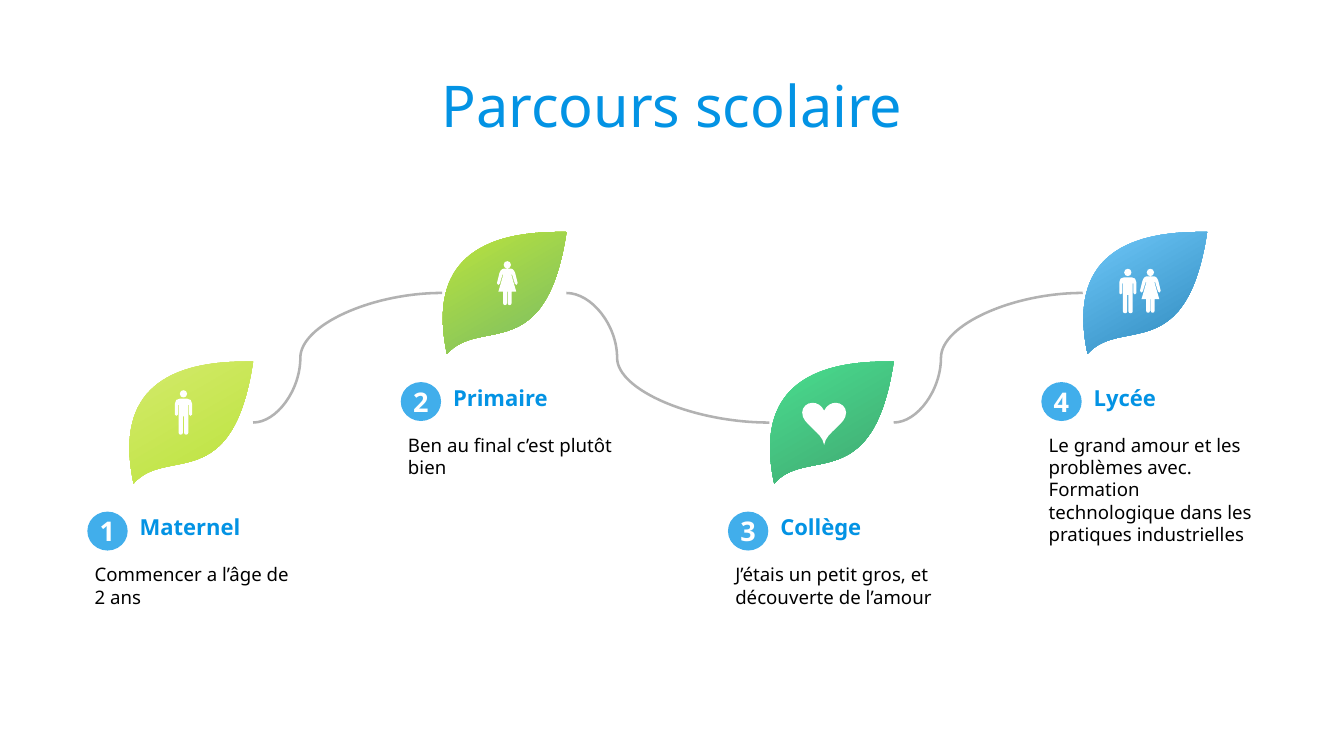
import pptx
import pptx.dml.color
import pptx.enum.shapes
import pptx.enum.text
import pptx.oxml
import pptx.oxml.ns
import pptx.util

Pt = pptx.util.Pt
RGBColor = pptx.dml.color.RGBColor
MSO_SHAPE = pptx.enum.shapes.MSO_SHAPE
PP_ALIGN = pptx.enum.text.PP_ALIGN
MSO_ANCHOR = pptx.enum.text.MSO_ANCHOR
MSO_AUTO_SIZE = pptx.enum.text.MSO_AUTO_SIZE
qn = pptx.oxml.ns.qn
DRAWING = pptx.oxml.ns.nsdecls("a")

FONT = "Noto Sans"
BLUE = RGBColor(0x03, 0x93, 0xE4)
BADGE_BLUE = RGBColor(0x41, 0xAE, 0xEB)
GREY = RGBColor(0xB2, 0xB2, 0xB2)
BLACK = RGBColor(0, 0, 0)
WHITE = RGBColor(0xFF, 0xFF, 0xFF)
LIME_LIGHT = RGBColor(0xD4, 0xEA, 0x6B)
LIME = RGBColor(0xBB, 0xE3, 0x3D)
GREEN = RGBColor(0x77, 0xBC, 0x65)
MINT = RGBColor(0x49, 0xDE, 0x8F)
MINT_DARK = RGBColor(0x41, 0xA6, 0x71)
SKY = RGBColor(0x6F, 0xC8, 0xFA)
SKY_DARK = RGBColor(0x2D, 0x88, 0xBB)

SLIDE_WIDTH, SLIDE_HEIGHT = 793.44, 446.4
STEP_WIDTH = 136.8
LOW, HIGH = 213.5, 137
LEAF_LEFT, LEAF_WIDTH, LEAF_MIDDLE = 27.2, 73.4, 36
GRID = 0.72  # points per unit of the outlines below
PRECISION = 100  # steps per unit in the geometry

# A figure is its width, its height and its outlines. An outline is a start
# point followed by lines (x, y) and cubic curves (control 1, control 2, end).
LEAF = 102, 100, [[(4, 100), (31, 69, 85, 111, 102, 0), (96, 0), (24, 0, -11, 30, 4, 100)]]
HEART = 36, 35, [[
    (18, 7), (16, 2.5, 12, 0.5, 8.5, 0.5), (4, 0.5, 0, 4, 0, 8.5),
    (0, 14, 4, 17, 8, 21), (13, 26, 17, 29, 18, 35),
    (19, 29, 23, 26, 28, 21), (32, 17, 36, 14, 36, 8.5),
    (36, 4, 32, 0.5, 27.5, 0.5), (24, 0.5, 20, 2.5, 18, 7),
]]
MAN_BODY = [
    (4, 7), (1.5, 7, 0, 8.5, 0, 11), (0, 20), (0, 21.4, 2.4, 21.4, 2.4, 20),
    (2.4, 12), (3, 12), (3, 35), (3, 37, 6.5, 37, 6.5, 35), (6.5, 21.5),
    (7.5, 21.5), (7.5, 35), (7.5, 37, 11, 37, 11, 35), (11, 12), (11.6, 12),
    (11.6, 20), (11.6, 21.4, 14, 21.4, 14, 20), (14, 11), (14, 8.5, 12.5, 7, 10, 7),
]
WOMAN_BODY = [
    (6, 6.2), (6, 6, 3, 6, 2, 10), (0, 18), (0, 20, 2, 20, 2.3, 18.5),
    (4.6, 11), (5.2, 11), (1.2, 25), (5, 25), (5, 34.5),
    (5, 36.6, 8.2, 36.6, 8.2, 34.5), (8.2, 25), (8.8, 25), (8.8, 34.5),
    (8.8, 36.6, 12, 36.6, 12, 34.5), (12, 25), (15.8, 25), (11.8, 11),
    (12.4, 11), (14.7, 18.5), (15, 20, 17, 20, 17, 18), (15, 10), (14, 6, 11, 6, 11, 6.2),
]


def head(center):
    left, right = center - 3, center + 3
    return [(left, 3), (left, -1, right, -1, right, 3), (right, 7, left, 7, left, 3)]


def shifted(outlines, distance):
    return [[tuple(value + distance * (index % 2 == 0) for index, value in enumerate(segment))
             for segment in outline] for outline in outlines]


MAN = 14, 36.5, [head(7), MAN_BODY]
WOMAN = 17, 36.5, [head(8.5), WOMAN_BODY]
COUPLE = 34, 36.5, MAN[2] + shifted(WOMAN[2], 17)

# number, title, text, text height, left, top, leaf colours, icon, icon offset
STEPS = [
    ("1", "Maternel", "Commencer a l’âge de 2 ans", 34,
     48.8, LOW, (LIME_LIGHT, LIME), MAN, (54.5, 16.9)),
    ("2", "Primaire", "Ben au final c’est plutôt bien", 34,
     233.8, HIGH, (LIME, GREEN), WOMAN, (59.6, 17.2)),
    ("3", "Collège", "J’étais un petit gros, et découverte de l’amour", 34,
     427, LOW, (MINT, MINT_DARK), HEART, (46.6, 24)),
    ("4", "Lycée", "Le grand amour et les problèmes avec. Formation technologique "
     "dans les pratiques industrielles", 73.4,
     612, HIGH, (SKY, SKY_DARK), COUPLE, (48.8, 21.7)),
]


def curve_segment(segment):
    """Return the geometry element of a line or a cubic curve."""
    tag = "lnTo" if len(segment) == 2 else "cubicBezTo"
    values = [round(value * PRECISION) for value in segment]
    points = "".join(f'<a:pt x="{x}" y="{y}"/>' for x, y in zip(values[::2], values[1::2]))
    return pptx.oxml.parse_xml(f"<a:{tag} {DRAWING}>{points}</a:{tag}>")


def add_figure(slide, figure, left, top):
    """Build a freeform through the corners, then bend its curved sides."""
    width, height, outlines = figure
    builder = None
    for outline in outlines:
        corners = [tuple(value * PRECISION for value in segment[-2:]) for segment in outline]
        if builder is None:
            builder = slide.shapes.build_freeform(*corners[0], scale=Pt(GRID) / PRECISION)
        else:
            builder.move_to(*corners[0])
        builder.add_line_segments(corners[1:], close=True)
    shape = builder.convert_to_shape()
    geometry = shape._element.spPr.find(".//" + qn("a:pathLst"))[0]
    geometry.set("w", str(round(width * PRECISION)))
    geometry.set("h", str(round(height * PRECISION)))
    starts = geometry.findall(qn("a:moveTo"))
    for start, outline in zip(starts, outlines):
        for axis, value in zip("xy", outline[0]):
            start[0].set(axis, str(round(value * PRECISION)))
    sides = geometry.findall(qn("a:lnTo"))
    segments = [segment for outline in outlines for segment in outline[1:]]
    for side, segment in zip(sides, segments):
        geometry.replace(side, curve_segment(segment))
    shape.left, shape.top = Pt(left), Pt(top)
    shape.width, shape.height = Pt(width * GRID), Pt(height * GRID)
    shape.shadow.inherit = False
    shape.line.fill.background()
    return shape


def set_text(shape, text, size, color, bold=False, alignment=PP_ALIGN.LEFT):
    shape.text_frame.text = text
    paragraph = shape.text_frame.paragraphs[0]
    paragraph.alignment = alignment
    font = paragraph.runs[0].font
    font.name, font.size, font.bold = FONT, Pt(size), bold
    font.color.rgb = color


def add_text(slide, left, top, width, height, *text_format):
    box = slide.shapes.add_textbox(Pt(left), Pt(top), Pt(width), Pt(height))
    box.text_frame.word_wrap = True
    box.text_frame.auto_size = MSO_AUTO_SIZE.SHAPE_TO_FIT_TEXT
    set_text(box, *text_format)


def add_badge(slide, number, left, top):
    badge = slide.shapes.add_shape(MSO_SHAPE.OVAL, Pt(left), Pt(top), Pt(23.8), Pt(23))
    badge.shadow.inherit = False
    badge.fill.solid()
    badge.fill.fore_color.rgb = BADGE_BLUE
    badge.line.fill.background()
    badge.text_frame.word_wrap = False
    badge.text_frame.vertical_anchor = MSO_ANCHOR.MIDDLE
    set_text(badge, number, 16, WHITE, True, PP_ALIGN.CENTER)


def add_step(slide, number, title, text, text_height, left, top, colors, icon, icon_offset):
    leaf = add_figure(slide, LEAF, left + LEAF_LEFT, top)
    leaf.fill.gradient()
    leaf.fill.gradient_angle = 300
    for stop, color in zip(leaf.fill.gradient_stops, colors):
        stop.color.rgb = color
    symbol = add_figure(slide, icon, left + icon_offset[0], top + icon_offset[1])
    symbol.fill.solid()
    symbol.fill.fore_color.rgb = WHITE
    add_text(slide, left + 26.6, top + 86.4, 110.2, 23, title, 13, BLUE, True)
    add_text(slide, left, top + 115.4, STEP_WIDTH, text_height, text, 11, BLACK)
    add_badge(slide, number, left + 2.8, top + 88.6)


def add_link(slide, start, end):
    connector = slide.shapes.add_connector(
        pptx.enum.shapes.MSO_CONNECTOR.CURVE, *(Pt(value) for value in start + end))
    connector.line.color.rgb = GREY
    connector.line.width = Pt(1.5)
    properties = connector._element.spPr
    guides = properties.find(qn("a:prstGeom")).get_or_add_avLst()
    guides.append(pptx.oxml.parse_xml(f'<a:gd {DRAWING} name="adj1" fmla="val 25000"/>'))
    properties.append(pptx.oxml.parse_xml(f"<a:effectLst {DRAWING}/>"))


def add_title(slide, text):
    title = slide.shapes.title
    title.left, title.top = Pt(0), Pt(37.8)
    title.width, title.height = Pt(SLIDE_WIDTH), Pt(48.2)
    title.text_frame.auto_size = MSO_AUTO_SIZE.NONE
    title.text_frame.vertical_anchor = MSO_ANCHOR.TOP
    set_text(title, text, 34, BLUE, False, PP_ALIGN.CENTER)


def main():
    presentation = pptx.Presentation()
    presentation.slide_width, presentation.slide_height = Pt(SLIDE_WIDTH), Pt(SLIDE_HEIGHT)
    slide = presentation.slides.add_slide(presentation.slide_layouts[5])
    add_title(slide, "Parcours scolaire")
    for step in STEPS:
        add_step(slide, *step)
    corners = [(step[4] + LEAF_LEFT, step[5] + LEAF_MIDDLE) for step in STEPS]
    for (left, middle), following in zip(corners, corners[1:]):
        add_link(slide, (left + LEAF_WIDTH, middle), following)
    presentation.save("out.pptx")


if __name__ == "__main__":
    main()
